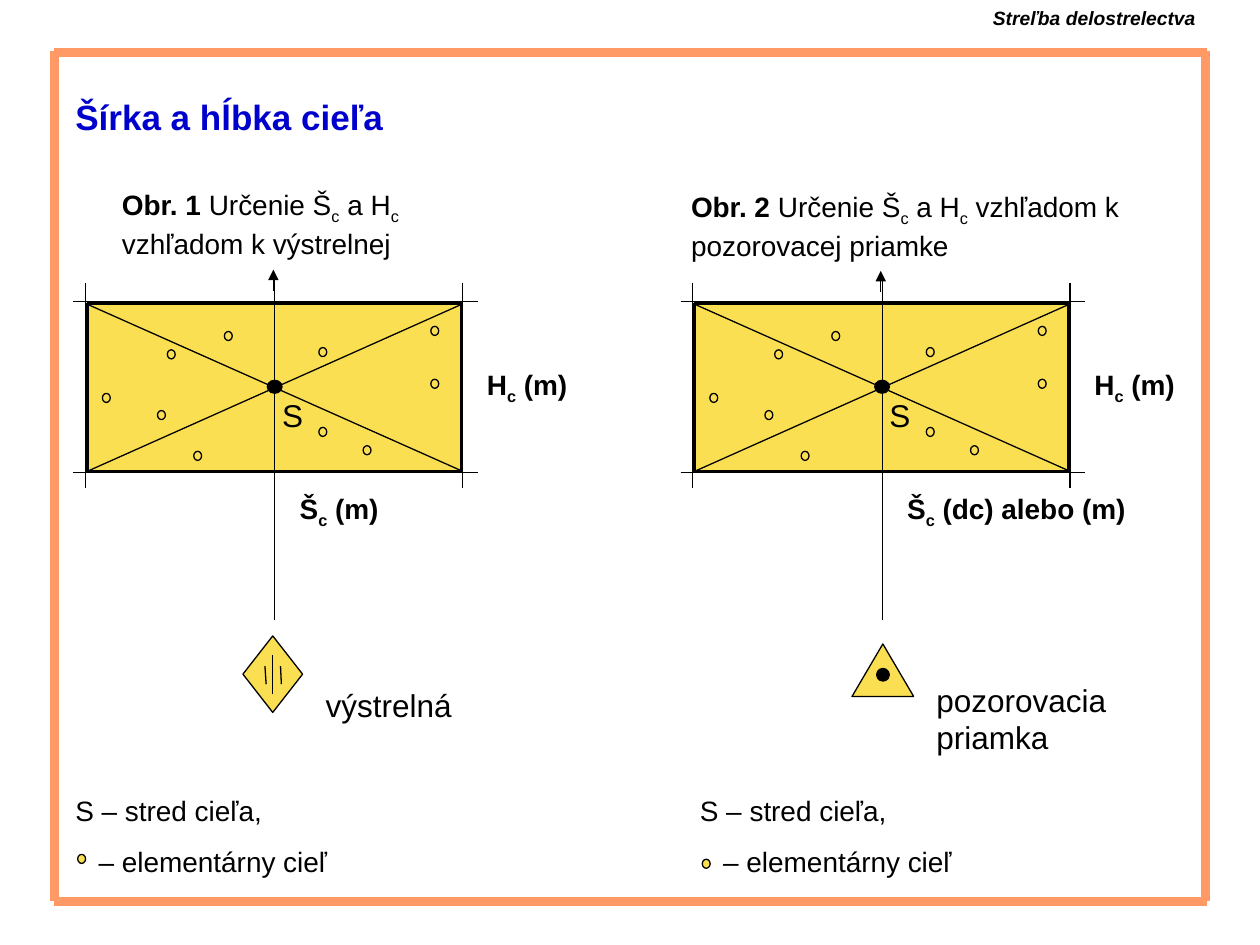
from dataclasses import dataclass

import pptx
import pptx.dml.color
import pptx.enum.shapes
import pptx.enum.text
import pptx.oxml.ns
import pptx.util
from lxml import etree

Pt = pptx.util.Pt
SHAPES = pptx.enum.shapes.MSO_SHAPE
ALIGN = pptx.enum.text.PP_ALIGN
ANCHOR = pptx.enum.text.MSO_ANCHOR

COLORS = {"title": "0000CC", "text": "000000", "line": "000000",
          "target": "FBDF53", "frame": "FF9966"}
FONT = "Arial"
FIGURE_STEP = 347.1
DOT_SIZE = (4.5, 5.2)
DOTS = [(58.5, 224.8), (90, 234.6), (95.6, 199.9), (110.7, 257.9), (128.2, 189.4),
        (182.2, 198.6), (246.2, 186.5), (246.2, 216.7), (182.2, 244.2), (207.5, 254.7)]


@dataclass(frozen=True)
class Part:
    text: str
    bold: bool = False
    italic: bool = False
    subscript: bool = False


@dataclass(frozen=True)
class Figure:
    left: float
    caption: tuple[float, float, float]
    number: str
    direction: str
    width_unit: str
    width_box: float
    arrow_top: float
    direction_box: tuple[float, float, float, float]
    legend_left: float
    legend_dot: tuple[float, float]


FIGURES = [
    Figure(0, (62.6, 103.9, 193.7), "Obr. 1", "výstrelnej", " (m)", 62.6, 154.1,
           (179, 388.4, 118.8, 28.8), 36, (44.4, 488.2)),
    Figure(FIGURE_STEP, (387.8, 105, 261.4), "Obr. 2", "pozorovacej priamke",
           " (dc) alebo (m)", 142.6, 154.8, (528, 385.4, 118.8, 50.4),
           392.9, (401.3, 491)),
]


def rgb(name: str) -> pptx.dml.color.RGBColor:
    return pptx.dml.color.RGBColor.from_string(COLORS[name])


def add_shape(slide, kind, left: float, top: float, width: float, height: float,
              fill: str = "target", weight: float = 0.75):
    shape = slide.shapes.add_shape(kind, Pt(left), Pt(top), Pt(width), Pt(height))
    shape.shadow.inherit = False
    shape.fill.solid()
    shape.fill.fore_color.rgb = rgb(fill)
    shape.line.color.rgb = rgb("line")
    shape.line.width = Pt(weight)
    return shape


def add_line(slide, x1: float, y1: float, x2: float, y2: float,
             color: str = "line", weight: float = 0.75, arrow: bool = False):
    line = slide.shapes.add_connector(pptx.enum.shapes.MSO_CONNECTOR.STRAIGHT,
                                      Pt(x1), Pt(y1), Pt(x2), Pt(y2))
    line.line.color.rgb = rgb(color)
    line.line.width = Pt(weight)
    if arrow:
        outline = line.line._get_or_add_ln()
        etree.SubElement(outline, pptx.oxml.ns.qn("a:tailEnd"), type="triangle")
    etree.SubElement(line._element.spPr, pptx.oxml.ns.qn("a:effectLst"))
    return line


def add_text(slide, left: float, top: float, width: float, height: float,
             paragraphs: list[list[Part]], size: float, color: str = "text",
             align=ALIGN.LEFT, anchor=ANCHOR.TOP):
    box = slide.shapes.add_textbox(Pt(left), Pt(top), Pt(width), Pt(height))
    frame = box.text_frame
    frame.word_wrap = True
    frame.vertical_anchor = anchor
    for index, parts in enumerate(paragraphs):
        paragraph = frame.add_paragraph() if index else frame.paragraphs[0]
        paragraph.alignment = align
        for part in parts:
            run = paragraph.add_run()
            run.text = part.text
            run.font.name = FONT
            run.font.size = Pt(size)
            run.font.bold = part.bold
            run.font.italic = part.italic
            run.font.color.rgb = rgb(color)
            if part.subscript:
                run._r.get_or_add_rPr().set("baseline", "-25000")
    return box


def dimension(letter: str, unit: str) -> list[Part]:
    return [Part(letter, bold=True), Part("c", bold=True, subscript=True),
            Part(unit, bold=True)]


def draw_target(slide, figure: Figure):
    x = figure.left
    add_shape(slide, SHAPES.RECTANGLE, x + 49.8, 173.6, 213.8, 95.6, weight=1.75)

    # Direction line and diagonals
    add_line(slide, x + 157, 354.2, x + 157, 160)
    add_line(slide, x + 50.4, 269.1, x + 263.4, 174.1)
    add_line(slide, x + 263, 268.7, x + 50.4, 174.1)
    add_line(slide, x + 156.2, figure.arrow_top + 12.2, x + 156.2,
             figure.arrow_top, arrow=True)

    # Elementary targets and target centre
    for dot_left, dot_top in DOTS:
        add_shape(slide, SHAPES.OVAL, x + dot_left, dot_top, *DOT_SIZE)
    add_text(slide, x + 154.1, 222.5, 26.6, 28.8, [[Part("S")]], 18)
    add_shape(slide, SHAPES.OVAL, x + 152.8, 217.3, 8.4, 7.4, fill="line")

    # Dimension lines and labels
    for offset in (48.7, 264.3):
        add_line(slide, x + offset, 161.5, x + offset, 279)
    for y in (172.1, 270):
        add_line(slide, x + 41.8, y, x + 273, y)
    add_text(slide, x + 271.2, 206.6, 62.6, 29.5, [dimension("H", " (m)")], 16)
    add_text(slide, x + 164.2, 277.2, figure.width_box, 29.5,
             [dimension("Š", figure.width_unit)], 16)


def draw_texts(slide, figure: Figure):
    left, top, width = figure.caption
    caption = [Part(figure.number, bold=True), Part(" Určenie Š"),
               Part("c", subscript=True), Part(" a H"), Part("c", subscript=True),
               Part(f" vzhľadom k {figure.direction}")]
    add_text(slide, left, top, width, 48.2, [caption], 16)

    # Legend
    legend = add_text(slide, figure.legend_left, 450, 197.3, 55.4,
                      [[Part("S – stred cieľa,")], [Part("– elementárny cieľ")]], 16)
    entry = legend.text_frame.paragraphs[1]
    entry.space_before = Pt(10)
    entry._p.get_or_add_pPr().set("marL", str(Pt(13.3)))
    add_shape(slide, SHAPES.OVAL, *figure.legend_dot, *DOT_SIZE)


def main():
    presentation = pptx.Presentation()
    presentation.slide_width, presentation.slide_height = Pt(720), Pt(540)
    slide = presentation.slides.add_slide(presentation.slide_layouts[6])

    # Title
    add_text(slide, 36, 21.6, 648, 90, [[Part("Šírka a hĺbka cieľa", bold=True)]],
             20, color="title", anchor=ANCHOR.MIDDLE)

    # Both figures
    for figure in FIGURES:
        draw_target(slide, figure)
        draw_texts(slide, figure)
    for figure, label in zip(FIGURES, ("výstrelná", "pozorovacia priamka")):
        add_text(slide, *figure.direction_box, [[Part(label)]], 18)

    # Firing position
    add_shape(slide, SHAPES.DIAMOND, 138.8, 363.4, 34.1, 43.7)
    add_line(slide, 155.7, 374.4, 155.7, 396.5)
    add_line(slide, 151.4, 380.7, 152.1, 391)
    add_line(slide, 160.3, 380.7, 160.8, 391)

    # Observation post
    add_shape(slide, SHAPES.ISOSCELES_TRIANGLE, 486.9, 368, 35.2, 30)
    add_shape(slide, SHAPES.OVAL, 501, 382, 7.2, 7.2, fill="line")

    # Slide frame
    for x in (31, 689):
        add_line(slide, x, 29, x, 515, "frame", 5.25)
    for y in (30, 515):
        add_line(slide, 31, y, 690, y, "frame", 5.25)

    # Header
    add_text(slide, 533, 0, 157.5, 21,
             [[Part("Streľba delostrelectva", bold=True, italic=True)]],
             11, align=ALIGN.RIGHT)

    presentation.save("out.pptx")


if __name__ == "__main__":
    main()
